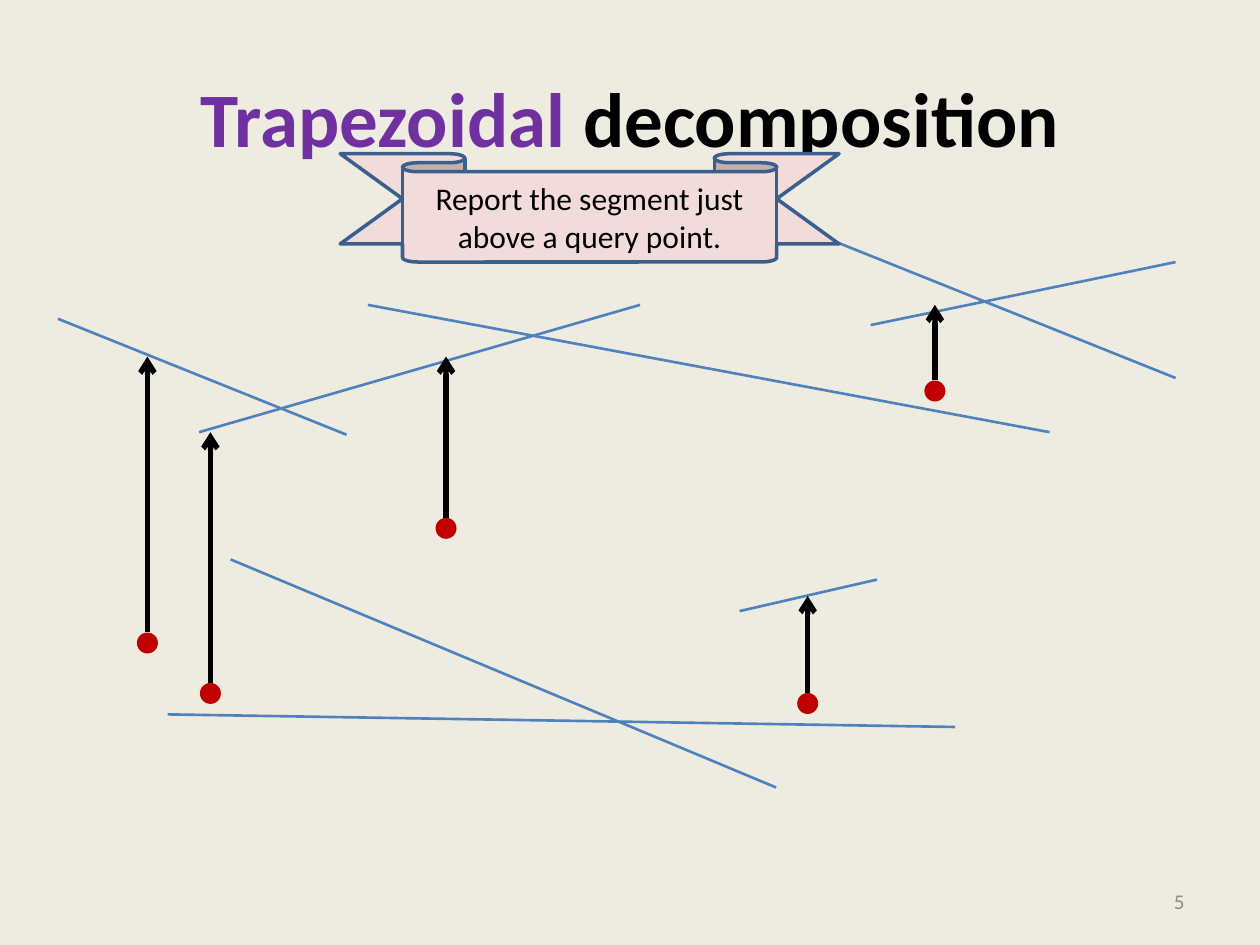
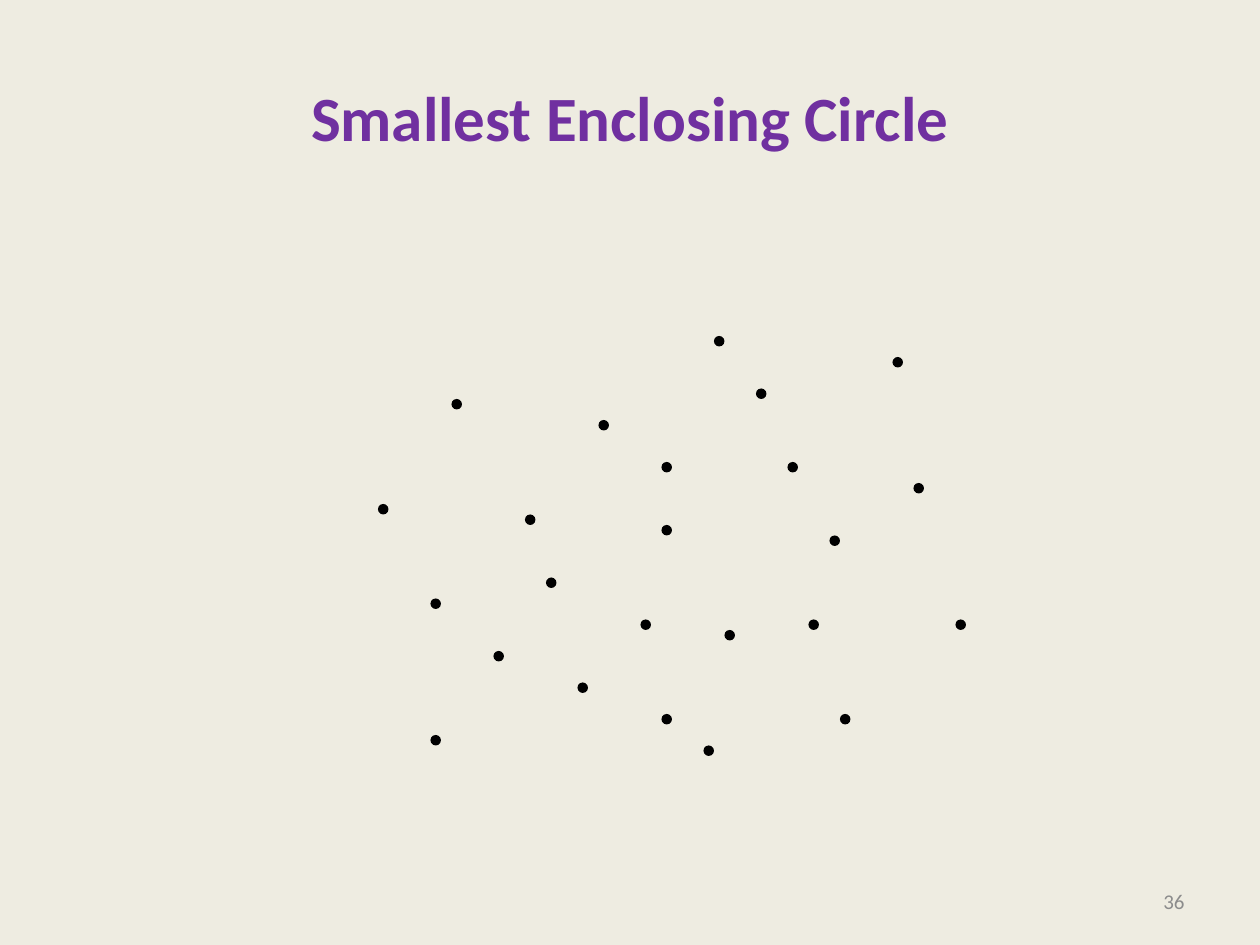
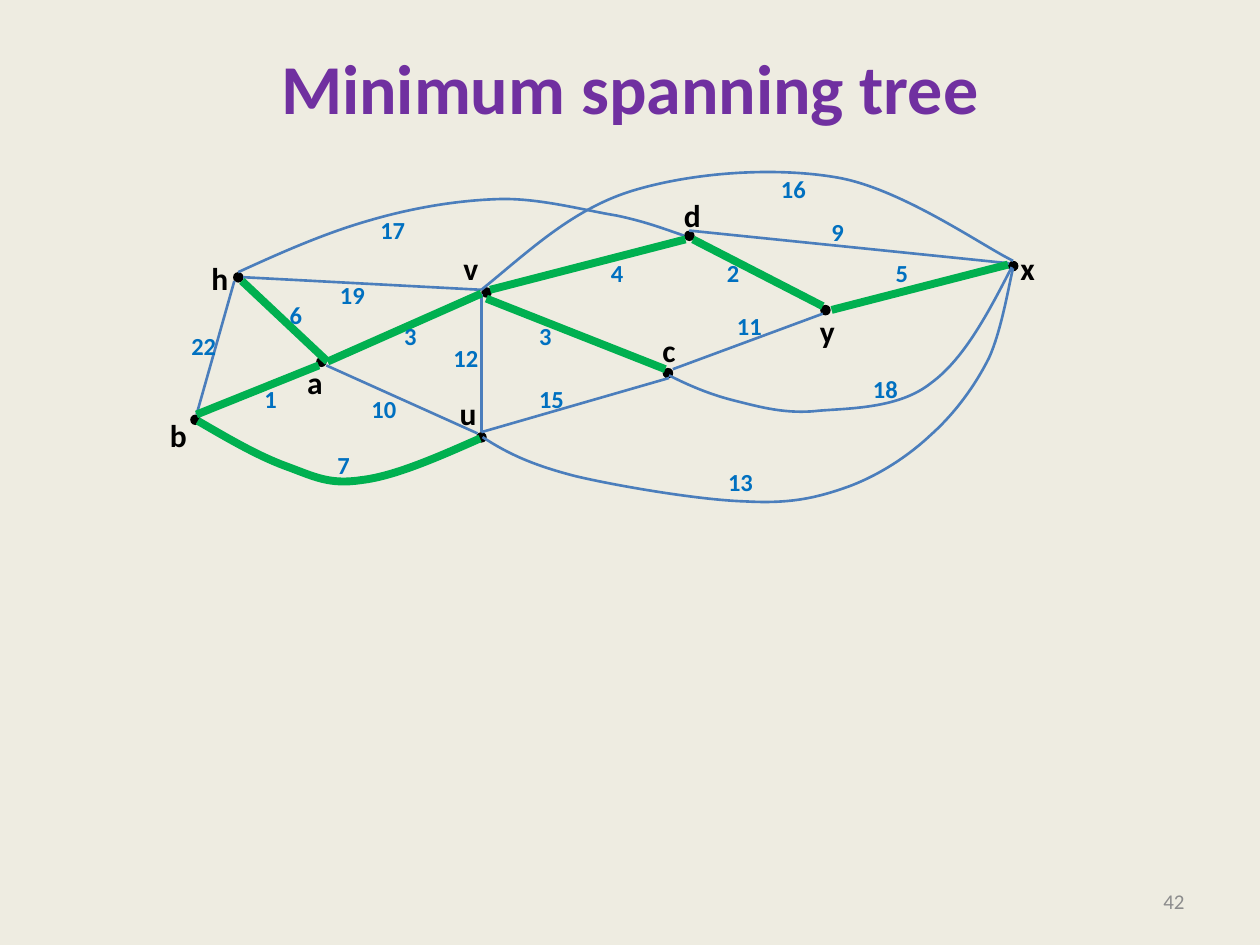
from lxml import etree
from pptx import Presentation
from pptx import util as u
from pptx.dml.color import RGBColor
from pptx.enum import shapes, text
from pptx.oxml.ns import qn

WIDTH, HEIGHT = 10, 7.5
FONT = "Calibri"
PAPER, PURPLE, BLACK, GRAY = "EEECE1", "7030A0", "000000", "8C8C8C"
RED, GREEN, BLUE, STEEL, WEIGHT_BLUE = "C00000", "00B050", "4F81BD", "4B7EBC", "0070C0"
PINK, NAVY = "F2DCDB", "3A5F8C"
THIN, TREE_WIDTH, ARROW_WIDTH = 1.5, 4.5, 3
TITLE_BOX = (0.05 * WIDTH, 0.04 * HEIGHT, 0.9 * WIDTH, HEIGHT / 6)
NUMBER_BOX = (7.17, 6.95, 2.33, 0.4)
GRID = 1 / 12
QUERY_SIZE, NODE_SIZE = 2 * GRID, GRID

SEGMENTS = [
    ((7.58, 5.77), (1.33, 5.67)), ((5.08, 2.42), (1.58, 3.43)),
    ((6.96, 4.6), (5.87, 4.85)), ((8.33, 3.43), (2.92, 2.42)),
    ((6.16, 6.25), (1.83, 4.44)), ((9.33, 2.08), (6.91, 2.58)),
    ((9.33, 3), (6.41, 1.83)), ((2.75, 3.45), (0.46, 2.53)),
]
QUERIES = [
    ((3.54, 4.11), 2.83), ((6.41, 5.5), 4.73), ((7.42, 3.02), 2.42),
    ((1.17, 5.02), 2.83), ((1.67, 5.42), 3.43),
]
RIBBON_TEXT = "Report the segment just above a query point."
RIBBON_BOX = (2.7, 1.22, 3.96, 0.86)

POINTS = [
    (43, 38), (57, 40), (87, 46), (55, 65), (79, 51), (80, 68),
    (68, 32), (63, 44), (69, 60), (85, 34), (41, 70), (36, 48),
    (67, 71), (91, 59), (50, 49), (52, 55), (41, 57), (77, 59),
    (63, 50), (75, 44), (72, 37), (47, 62), (61, 59), (63, 68),
]

NODES = [
    ("h", (1.85, 2.16), (1.58, 2.01)), ("b", (1.51, 3.29), (1.25, 3.25)),
    ("c", (5.26, 2.92), (5.16, 2.58)), ("d", (5.43, 1.83), (5.33, 1.51)),
    ("u", (3.78, 3.43), (3.55, 3.08)), ("y", (6.51, 2.42), (6.41, 2.43)),
    ("v", (3.82, 2.28), (3.58, 1.93)), ("a", (2.51, 2.83), (2.34, 2.83)),
    ("x", (8, 2.07), (8, 1.93)),
]
OTHER_EDGES = [
    ((2.59, 2.9), (3.79, 3.44)), ((3.82, 2.33), (3.82, 3.43)),
    ((3.82, 3.43), (5.31, 3)), ((5.34, 2.93), (6.53, 2.49)),
    ((1.86, 2.23), (1.56, 3.29)), ((8.01, 2.09), (5.47, 1.83)),
    ((1.93, 2.2), (3.82, 2.3)),
]
TREE_EDGES = [
    ((5.44, 1.9), (3.89, 2.3)), ((1.92, 2.23), (2.6, 2.87)),
    ((1.56, 3.29), (2.53, 2.9)), ((2.6, 2.87), (3.82, 2.33)),
    ((5.28, 2.93), (3.86, 2.37)), ((6.53, 2.43), (5.5, 1.9)),
    ((8, 2.1), (6.6, 2.46)),
]
OTHER_CURVES = [
    [(5.31, 2.98), (5.47, 3.06), (5.63, 3.13), (5.83, 3.18),
     (6.03, 3.23), (6.24, 3.29), (6.5, 3.26),
     (6.76, 3.24), (7.14, 3.24), (7.39, 3.04),
     (7.65, 2.85), (7.84, 2.49), (8.03, 2.12)],
    [(3.83, 3.47), (4.03, 3.6), (4.22, 3.69), (4.57, 3.78),
     (4.91, 3.86), (5.56, 3.97), (5.92, 3.98),
     (6.28, 4), (6.49, 3.95), (6.74, 3.86),
     (6.98, 3.77), (7.21, 3.62), (7.39, 3.45),
     (7.58, 3.28), (7.74, 3.06), (7.85, 2.84),
     (7.95, 2.62), (8.01, 2.25), (8.04, 2.13)],
    [(1.89, 2.16), (2.24, 2), (2.58, 1.85), (2.93, 1.75),
     (3.27, 1.65), (3.63, 1.59), (3.96, 1.58),
     (4.28, 1.57), (4.64, 1.67), (4.89, 1.71),
     (5.13, 1.76), (5.28, 1.82), (5.43, 1.87)],
    [(3.82, 2.3), (4.19, 2), (4.53, 1.67), (5, 1.52),
     (5.48, 1.37), (6.14, 1.32), (6.65, 1.41),
     (7.16, 1.5), (7.81, 1.96), (8.04, 2.07)],
]
TREE_CURVES = [
    [(1.57, 3.34), (1.81, 3.48), (2.05, 3.62), (2.27, 3.7),
     (2.49, 3.78), (2.61, 3.85), (2.87, 3.81),
     (3.13, 3.78), (3.47, 3.63), (3.81, 3.48)],
]
WEIGHTS = [
    ("18", (6.83, 2.92)), ("7", (2.58, 3.52)), ("1", (2, 3)), ("19", (2.6, 2.17)),
    ("22", (1.42, 2.58)), ("10", (2.85, 3.08)), ("3", (3.11, 2.5)),
    ("12", (3.5, 2.67)), ("3", (4.18, 2.5)), ("15", (4.18, 3)),
    ("11", (5.75, 2.42)), ("5", (7.01, 2)), ("16", (6.1, 1.33)),
    ("17", (2.92, 1.66)), ("13", (5.68, 3.66)), ("4", (4.75, 2)),
    ("2", (5.67, 2)), ("9", (6.5, 1.67)), ("6", (2.2, 2.33)),
]


def color(value):
    return RGBColor.from_string(value)


def inches(values):
    return [u.Inches(value) for value in values]


def apply(target, **values):
    for key, value in values.items():
        setattr(target, key, value)


def write(frame, runs, size, bold=False, align=text.PP_ALIGN.LEFT):
    paragraph = frame.paragraphs[0]
    paragraph.alignment = align
    for words, ink in runs:
        run = paragraph.add_run()
        run.text = words
        apply(run.font, name=FONT, size=u.Pt(size), bold=bold)
        run.font.color.rgb = color(ink)


def draw_outline(line, ink, width):
    line.color.rgb = color(ink)
    line.width = u.Pt(width)


def add_label(slide, words, box, size, ink):
    frame = slide.shapes.add_textbox(*inches(box)).text_frame
    apply(frame, word_wrap=False, auto_size=text.MSO_AUTO_SIZE.SHAPE_TO_FIT_TEXT)
    write(frame, [(words, ink)], size, bold=True)


def add_solid(slide, kind, box, fill):
    solid = slide.shapes.add_shape(kind, *inches(box))
    solid.shadow.inherit = False
    solid.fill.solid()
    solid.fill.fore_color.rgb = color(fill)
    solid.line.fill.background()
    return solid


def add_dot(slide, left, top, size, fill):
    return add_solid(slide, shapes.MSO_SHAPE.OVAL, (left, top, size, size), fill)


def add_line(slide, start, end, ink, width):
    line = slide.shapes.add_connector(
        shapes.MSO_CONNECTOR.STRAIGHT, *inches(start + end))
    draw_outline(line.line, ink, width)
    etree.SubElement(line._element.spPr, qn("a:effectLst"))
    return line


def add_curve(slide, points, ink, width):
    start, *rest = [inches(point) for point in points]
    builder = slide.shapes.build_freeform(*start)
    builder.add_line_segments(rest, close=False)
    curve = builder.convert_to_shape()
    curve.shadow.inherit = False
    curve.fill.background()
    draw_outline(curve.line, ink, width)
    steps = list(curve._element.iter(qn("a:lnTo")))
    for first in range(0, len(steps), 3):
        bezier = etree.Element(qn("a:cubicBezTo"))
        steps[first].addprevious(bezier)
        for step in steps[first:first + 3]:
            bezier.append(step[0])
            step.getparent().remove(step)


def add_page(deck, title_runs, size, number):
    slide = deck.slides.add_slide(deck.slide_layouts[5])
    title = slide.shapes.title
    apply(title, **dict(zip(("left", "top", "width", "height"), inches(TITLE_BOX))))
    title.text_frame.vertical_anchor = text.MSO_ANCHOR.MIDDLE
    write(title.text_frame, title_runs, size, True, text.PP_ALIGN.CENTER)
    footer = slide.shapes.add_textbox(*inches(NUMBER_BOX)).text_frame
    apply(footer, word_wrap=True, vertical_anchor=text.MSO_ANCHOR.MIDDLE)
    write(footer, [(number, GRAY)], 12, align=text.PP_ALIGN.RIGHT)
    return slide


def add_decomposition(deck):
    slide = add_page(
        deck, [("Trapezoidal ", PURPLE), ("decomposition", BLACK)], 44, "5")
    for start, end in SEGMENTS:
        add_line(slide, start, end, BLUE, THIN)
    for (x, y), reach in QUERIES:
        query = add_dot(slide, x - QUERY_SIZE / 2, y, QUERY_SIZE, RED)
        arrow = add_line(slide, (x, y), (x, reach), BLACK, ARROW_WIDTH)
        arrow.begin_connect(query, 0)
        etree.SubElement(arrow.line._get_or_add_ln(), qn("a:tailEnd"), type="arrow")
    ribbon = add_solid(slide, shapes.MSO_SHAPE.DOWN_RIBBON, RIBBON_BOX, PINK)
    ribbon.adjustments[0], ribbon.adjustments[1] = 0.167, 0.75
    draw_outline(ribbon.line, NAVY, 2)
    apply(ribbon.text_frame, word_wrap=True, vertical_anchor=text.MSO_ANCHOR.MIDDLE)
    write(ribbon.text_frame, [(RIBBON_TEXT, BLACK)], 18, align=text.PP_ALIGN.CENTER)


def add_enclosing_circle(deck):
    slide = add_page(deck, [("Smallest Enclosing Circle", PURPLE)], 36, "36")
    for column, row in POINTS:
        add_dot(slide, column * GRID, row * GRID, NODE_SIZE, BLACK)


def add_spanning_tree(deck):
    slide = add_page(deck, [("Minimum spanning tree", PURPLE)], 40, "42")
    slide.shapes.title.text_frame.margin_bottom = u.Inches(0.52)
    for _, spot, _ in NODES:
        add_dot(slide, *spot, NODE_SIZE, BLACK)
    for edges, curves, ink, width in (
            (OTHER_EDGES, OTHER_CURVES, STEEL, THIN),
            (TREE_EDGES, TREE_CURVES, GREEN, TREE_WIDTH)):
        for start, end in edges:
            add_line(slide, start, end, ink, width)
        for points in curves:
            add_curve(slide, points, ink, width)
    for name, _, corner in NODES:
        add_label(slide, name, corner + (0.33, 0.4), 18, BLACK)
    for weight, corner in WEIGHTS:
        add_label(slide, weight, corner + (0.2 + 0.1 * len(weight), 0.34), 14, WEIGHT_BLUE)


def main():
    deck = Presentation()
    apply(deck, slide_width=u.Inches(WIDTH), slide_height=u.Inches(HEIGHT))
    paper = deck.slide_master.background.fill
    paper.solid()
    paper.fore_color.rgb = color(PAPER)
    add_decomposition(deck)
    add_enclosing_circle(deck)
    add_spanning_tree(deck)
    deck.save("out.pptx")


if __name__ == "__main__":
    main()
